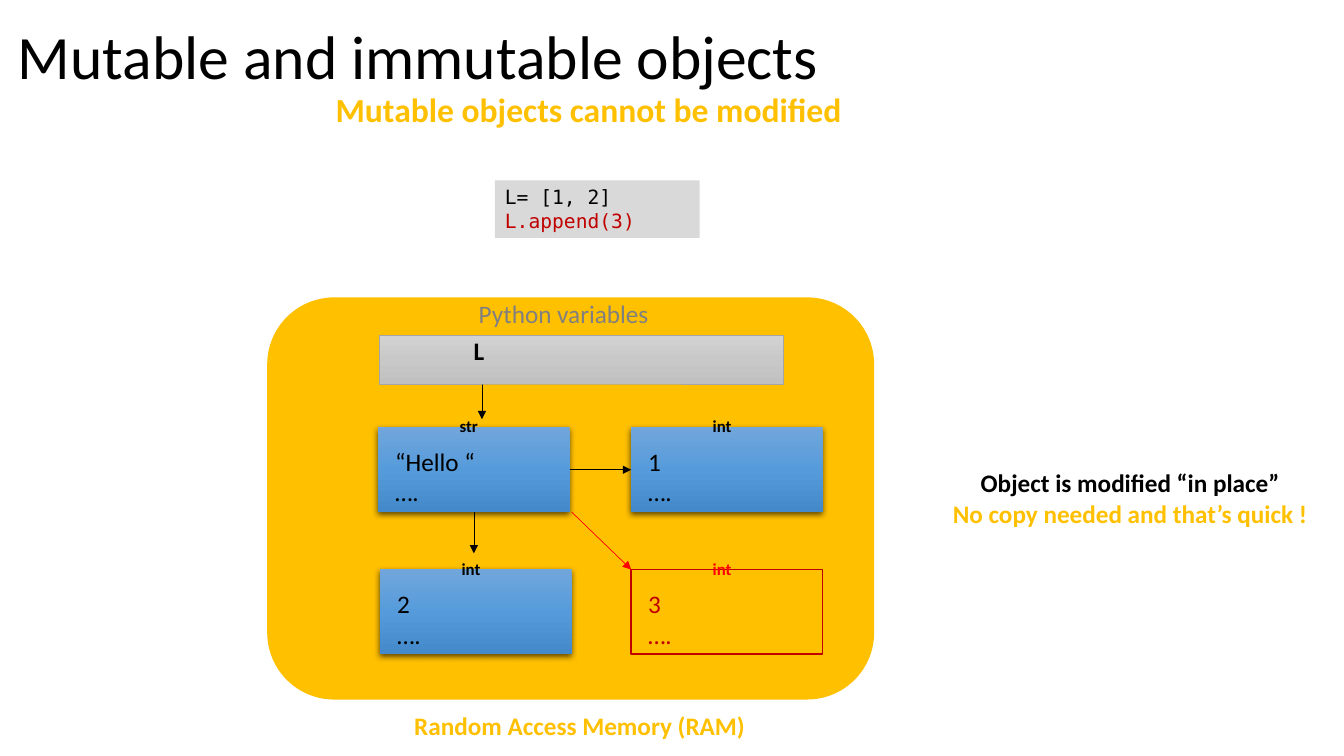
from dataclasses import dataclass
from typing import Optional

import lxml.etree
import pptx
import pptx.dml.color
import pptx.enum.shapes
import pptx.enum.text
import pptx.oxml
import pptx.oxml.ns
import pptx.shapes.autoshape
import pptx.shapes.connector
import pptx.slide
import pptx.text.text
import pptx.util

Inches = pptx.util.Inches
Shape = pptx.shapes.autoshape.Shape
Slide = pptx.slide.Slide
Kind = pptx.enum.shapes.MSO_SHAPE
Align = pptx.enum.text.PP_ALIGN
qn = pptx.oxml.ns.qn


@dataclass(frozen=True)
class Theme:
    body_font: str = "Calibri"
    code_font: str = "DejaVu Sans Mono"
    title: int = 44
    subtitle: int = 24
    body: int = 18
    code: int = 14
    label: int = 12
    black: str = "000000"
    gold: str = "FFC000"
    grey: str = "808080"
    code_fill: str = "D9D9D9"
    strip_line: str = "A5A5A5"
    dark_red: str = "C00000"
    red: str = "FF0000"
    silver: tuple[str, ...] = ("D2D2D2", "C8C8C8", "C0C0C0")
    blue: tuple[str, ...] = ("71A6DB", "559BDB", "448ACA")


THEME = Theme()


@dataclass(frozen=True)
class Box:
    x: float
    y: float
    w: float
    h: float


@dataclass(frozen=True)
class Line:
    text: str
    color: str = THEME.black


@dataclass(frozen=True)
class Caption:
    box: Box
    lines: tuple[Line, ...]
    size: int = THEME.body
    bold: bool = False
    wrap: bool = False
    align: Align = Align.LEFT
    spacing: Optional[float] = None


@dataclass(frozen=True)
class Cell:
    x: float
    y: float
    kind: str
    value: str
    added: bool = False


@dataclass(frozen=True)
class Arrow:
    x1: float
    y1: float
    x2: float
    y2: float
    color: str = THEME.black


CELL_W, CELL_H = 1.9, 0.84
TOP_ROW, LOW_ROW, RIGHT_COL = 4.24, 5.65, 6.26
LIST_CELL = Cell(3.75, TOP_ROW, "str", "“Hello “")
FIRST_CELL = Cell(RIGHT_COL, TOP_ROW, "int", "1")
SECOND_CELL = Cell(3.77, LOW_ROW, "int", "2")
ADDED_CELL = Cell(RIGHT_COL, LOW_ROW, "int", "3", added=True)

CAPTIONS = (
    Caption(Box(0.08, 0.21, 11.5, 0.9), (Line("Mutable and immutable objects"),),
            THEME.title, wrap=True, spacing=0.9),
    Caption(Box(3.23, 0.83, 6.12, 0.5),
            (Line("Mutable objects cannot be modified", THEME.gold),),
            THEME.subtitle, bold=True, wrap=True),
    Caption(Box(4.65, 2.91, 1.9, 0.4), (Line("Python variables", THEME.grey),)),
    Caption(Box(4.6, 3.28, 0.31, 0.4), (Line("L"),), bold=True),
    Caption(Box(4.01, 7, 3.51, 0.4),
            (Line("Random Access Memory (RAM)", THEME.gold),), bold=True),
    Caption(Box(9.08, 4.59, 4.26, 0.71),
            (Line("Object is modified “in place”"),
             Line("No copy needed and that’s quick !", THEME.gold)),
            bold=True, wrap=True, align=Align.CENTER),
)
CODE = (Line("L= [1, 2]"), Line("L.append(3)", THEME.dark_red))


def rgb(color: str) -> pptx.dml.color.RGBColor:
    return pptx.dml.color.RGBColor.from_string(color)


def write(tf: pptx.text.text.TextFrame, lines: tuple[Line, ...], size: int,
          font: str = THEME.body_font, bold: bool = False,
          align: Align = Align.LEFT, spacing: Optional[float] = None) -> None:
    tf.vertical_anchor = pptx.enum.text.MSO_ANCHOR.TOP
    for i, line in enumerate(lines):
        p = tf.paragraphs[0] if i == 0 else tf.add_paragraph()
        p.alignment = align
        if spacing:
            p.line_spacing = spacing
        r = p.add_run()
        r.text = line.text
        r.font.name = font
        r.font.size = pptx.util.Pt(size)
        r.font.bold = bold
        r.font.color.rgb = rgb(line.color)


def add_caption(s: Slide, c: Caption) -> None:
    b = c.box
    sp = s.shapes.add_textbox(Inches(b.x), Inches(b.y), Inches(b.w), Inches(b.h))
    sp.text_frame.word_wrap = c.wrap
    write(sp.text_frame, c.lines, c.size, bold=c.bold, align=c.align, spacing=c.spacing)


def add_box(s: Slide, b: Box, fill: Optional[str] = None, line: Optional[str] = None,
            width: float = 0.5, kind: Kind = Kind.RECTANGLE) -> Shape:
    sp = s.shapes.add_shape(kind, Inches(b.x), Inches(b.y), Inches(b.w), Inches(b.h))
    sp.shadow.inherit = False
    if fill:
        sp.fill.solid()
        sp.fill.fore_color.rgb = rgb(fill)
    else:
        sp.fill.background()
    if line:
        sp.line.color.rgb = rgb(line)
        sp.line.width = pptx.util.Pt(width)
    else:
        sp.line.fill.background()
    return sp


def add_gradient(sp: Shape, colors: tuple[str, ...]) -> None:
    sp.fill.gradient()
    sp.fill.gradient_angle = 270
    stops = sp._element.spPr.find(".//" + qn("a:gsLst"))
    for stop in list(stops):
        stops.remove(stop)
    for i, color in enumerate(colors):
        stop = lxml.etree.SubElement(stops, qn("a:gs"), pos=str(i * 50000))
        lxml.etree.SubElement(stop, qn("a:srgbClr"), val=color)


def add_shadow(sp: Shape) -> None:
    effects = sp._element.spPr.find(qn("a:effectLst"))
    shadow = lxml.etree.SubElement(effects, qn("a:outerShdw"), blurRad="57150",
                                   dist="19050", dir="5400000", algn="ctr", rotWithShape="0")
    color = lxml.etree.SubElement(shadow, qn("a:srgbClr"), val=THEME.black)
    lxml.etree.SubElement(color, qn("a:alpha"), val="63000")


def add_cell(s: Slide, c: Cell) -> Shape:
    box = Box(c.x, c.y, CELL_W, CELL_H)
    sp = add_box(s, box, line=THEME.dark_red if c.added else None, width=1)
    if not c.added:
        add_gradient(sp, THEME.blue)
        add_shadow(sp)
    label_color = THEME.red if c.added else THEME.black
    value_color = THEME.dark_red if c.added else THEME.black
    add_caption(s, Caption(Box(c.x + 0.71, c.y - 0.16, 0.39, 0.3),
                           (Line(c.kind, label_color),), THEME.label, bold=True))
    add_caption(s, Caption(Box(c.x + 0.07, c.y + 0.14, 1.83, 0.71),
                           (Line(c.value, value_color), Line("….", value_color)), wrap=True))
    return sp


def add_arrow(s: Slide, a: Arrow) -> pptx.shapes.connector.Connector:
    cx = s.shapes.add_connector(pptx.enum.shapes.MSO_CONNECTOR.STRAIGHT, Inches(a.x1),
                                Inches(a.y1), Inches(a.x2), Inches(a.y2))
    cx.line.color.rgb = rgb(a.color)
    cx.line.width = pptx.util.Pt(0.5)
    lxml.etree.SubElement(cx.line._get_or_add_ln(), qn("a:tailEnd"), type="triangle")
    lxml.etree.SubElement(cx._element.spPr, qn("a:effectLst"))
    return cx


def main() -> None:
    prs = pptx.Presentation()
    prs.slide_width, prs.slide_height = Inches(13.33), Inches(7.5)
    s = prs.slides.add_slide(prs.slide_layouts[6])

    add_box(s, Box(2.65, 2.95, 6.02, 3.99), THEME.gold, kind=Kind.ROUNDED_RECTANGLE)
    code = add_box(s, Box(4.91, 1.79, 2.03, 0.57), THEME.code_fill)
    write(code.text_frame, CODE, THEME.code, THEME.code_font)

    add_arrow(s, Arrow(4.78, 3.68, 4.78, 4.16))
    strip = add_box(s, Box(3.76, 3.33, 4.01, 0.48), line=THEME.strip_line)
    add_gradient(strip, THEME.silver)

    list_box, first_box, _, _ = [
        add_cell(s, c) for c in (LIST_CELL, FIRST_CELL, SECOND_CELL, ADDED_CELL)]
    to_first = add_arrow(s, Arrow(5.65, 4.66, RIGHT_COL, 4.66))
    to_first.begin_connect(list_box, 3)
    to_first.end_connect(first_box, 1)
    to_second = add_arrow(s, Arrow(4.7, 5.08, 4.7, 5.49))
    to_second.begin_connect(list_box, 2)
    add_arrow(s, Arrow(5.67, 5.08, RIGHT_COL, LOW_ROW, THEME.red))

    for c in CAPTIONS:
        add_caption(s, c)
    prs.save("out.pptx")


if __name__ == "__main__":
    main()
